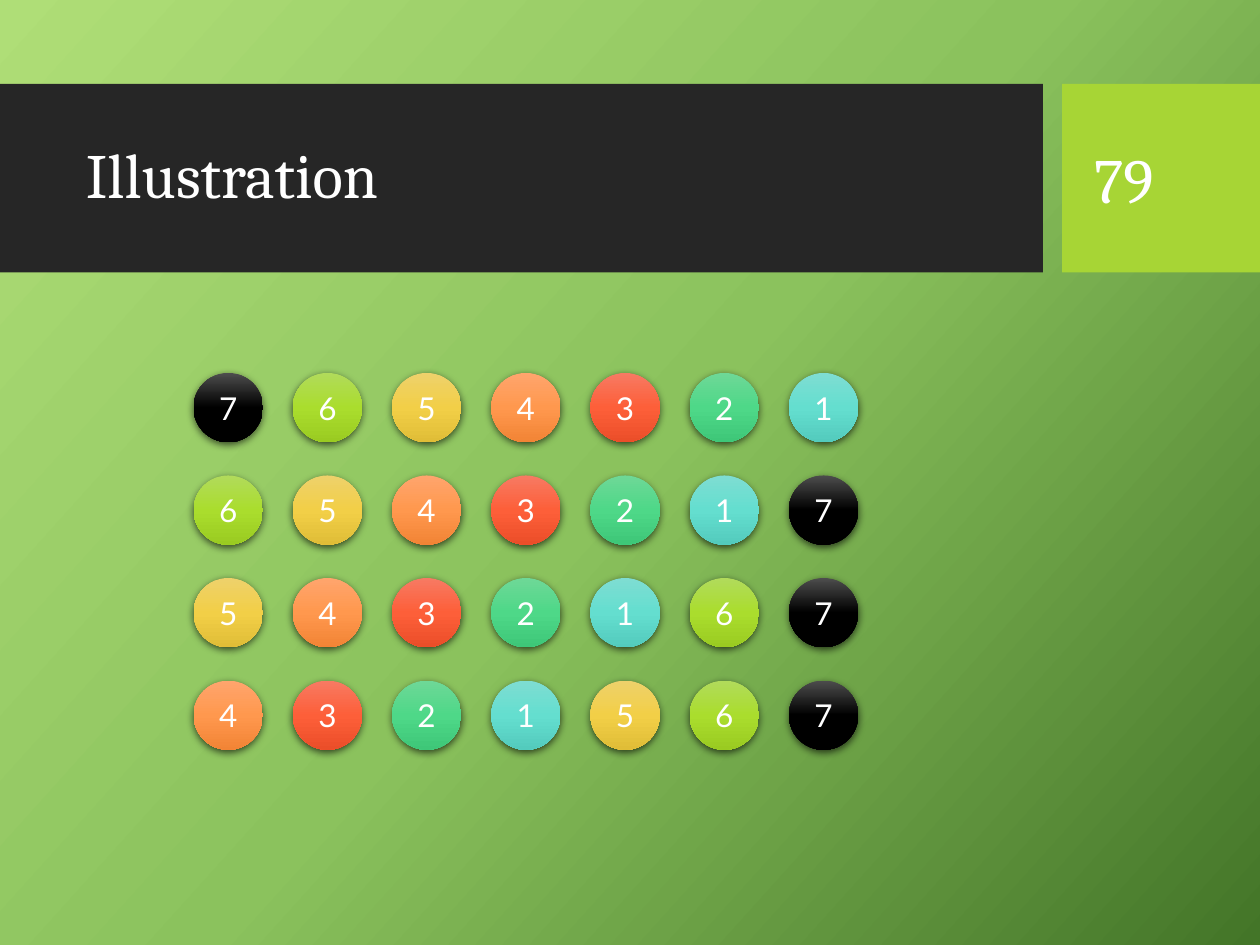
from copy import deepcopy

from lxml import etree
from pptx import Presentation
from pptx.dml.color import RGBColor
from pptx.enum.shapes import MSO_SHAPE
from pptx.enum.text import MSO_ANCHOR, PP_ALIGN
from pptx.oxml.ns import qn
from pptx.util import Pt

RECTANGLE, OVAL = MSO_SHAPE.RECTANGLE, MSO_SHAPE.OVAL
MIDDLE = MSO_ANCHOR.MIDDLE
LEFT, CENTER = PP_ALIGN.LEFT, PP_ALIGN.CENTER

COLORS = {"band": "262626", "accent": "A7D535", "text": "FFFFFF", "shadow": "000000"}
BACKGROUND_STOPS = ("AFDE77", "8BC25D", "437528")
BALL_STOPS = {
    1: ("7EDDD2", "64DECF", "53CBBD"),
    2: ("6ED897", "4ED888", "3EC778"),
    3: ("F77A63", "FD5F39", "EB4E29"),
    4: ("FFA56D", "FF984E", "F28435"),
    5: ("EED16B", "F2CF47", "E0BD37"),
    6: ("B1DB5B", "AADD2D", "9ACB21"),
    7: ("4D4D4D", "000000", "000000"),
}
ROWS = (
    (7, 6, 5, 4, 3, 2, 1),
    (6, 5, 4, 3, 2, 1, 7),
    (5, 4, 3, 2, 1, 6, 7),
    (4, 3, 2, 1, 5, 6, 7),
)
GRID_LEFT, GRID_TOP = 110.6, 213.1
COLUMN_STEP, ROW_STEP = 56.7, 58.6
BALL_SIZE = 39.6


class SlideBuilder:
    heading_font, ball_font = "Cambria", "Lato"
    heading_size, ball_text_size = 36, 18

    def __init__(self, slide):
        self.slide = slide

    def gradient(self, fill, owner, stops, angle):
        """Spread the stops evenly; the angle runs clockwise, in degrees."""
        fill.gradient()
        fill.gradient_angle = 360 - angle
        stop_list = next(owner.iter(qn("a:gsLst")))
        stop_list.append(deepcopy(stop_list[0]))
        for index, stop in enumerate(fill.gradient_stops):
            stop.position = index / (len(stops) - 1)
            stop.color.rgb = RGBColor.from_string(stops[index])

    def background(self, stops, angle):
        self.gradient(self.slide.background.fill, self.slide.element, stops, angle)

    def shape(self, kind, left, top, width, height):
        shape = self.slide.shapes.add_shape(kind, Pt(left), Pt(top), Pt(width), Pt(height))
        shape.line.fill.background()
        shape.shadow.inherit = False
        return shape

    def panel(self, left, top, width, height, color):
        panel = self.shape(RECTANGLE, left, top, width, height)
        panel.fill.solid()
        panel.fill.fore_color.rgb = RGBColor.from_string(COLORS[color])

    def add_text(self, frame, text, font, size, align):
        frame.word_wrap = True
        frame.vertical_anchor = MIDDLE
        paragraph = frame.paragraphs[0]
        paragraph.alignment = align
        run = paragraph.add_run()
        run.text = text
        run.font.name = font
        run.font.size = Pt(size)
        run.font.color.rgb = RGBColor.from_string(COLORS["text"])
        return paragraph

    def heading(self, left, top, width, height, text, spacing=1.0):
        box = self.slide.shapes.add_textbox(Pt(left), Pt(top), Pt(width), Pt(height))
        paragraph = self.add_text(box.text_frame, text, self.heading_font, self.heading_size, LEFT)
        paragraph.line_spacing = spacing

    def drop_shadow(self, shape):
        effects = shape.element.spPr.find(qn("a:effectLst"))
        shadow = etree.SubElement(
            effects, qn("a:outerShdw"), blurRad=str(Pt(4.5)), dist=str(Pt(1.5)),
            dir="5400000", algn="ctr", rotWithShape="0")
        color = etree.SubElement(shadow, qn("a:srgbClr"), val=COLORS["shadow"])
        etree.SubElement(color, qn("a:alpha"), val="63000")

    def ball(self, left, top, number):
        ball = self.shape(OVAL, left, top, BALL_SIZE, BALL_SIZE)
        self.gradient(ball.fill, ball.element, BALL_STOPS[number], 90)
        self.drop_shadow(ball)
        self.add_text(ball.text_frame, str(number), self.ball_font, self.ball_text_size, CENTER)


def main():
    deck = Presentation()
    deck.slide_width, deck.slide_height = Pt(720), Pt(540)
    builder = SlideBuilder(deck.slides.add_slide(deck.slide_layouts[6]))

    builder.background(BACKGROUND_STOPS, 42)
    builder.panel(0, 48, 596, 107.7, "band")
    builder.panel(607, 48, 113, 107.7, "accent")
    builder.heading(42, 59, 543, 85, "Illustration", spacing=0.9)
    builder.heading(618, 59, 91.5, 85.7, "79")

    for row, numbers in enumerate(ROWS):
        for column, number in enumerate(numbers):
            builder.ball(GRID_LEFT + column * COLUMN_STEP, GRID_TOP + row * ROW_STEP, number)

    deck.save("out.pptx")


if __name__ == "__main__":
    main()
